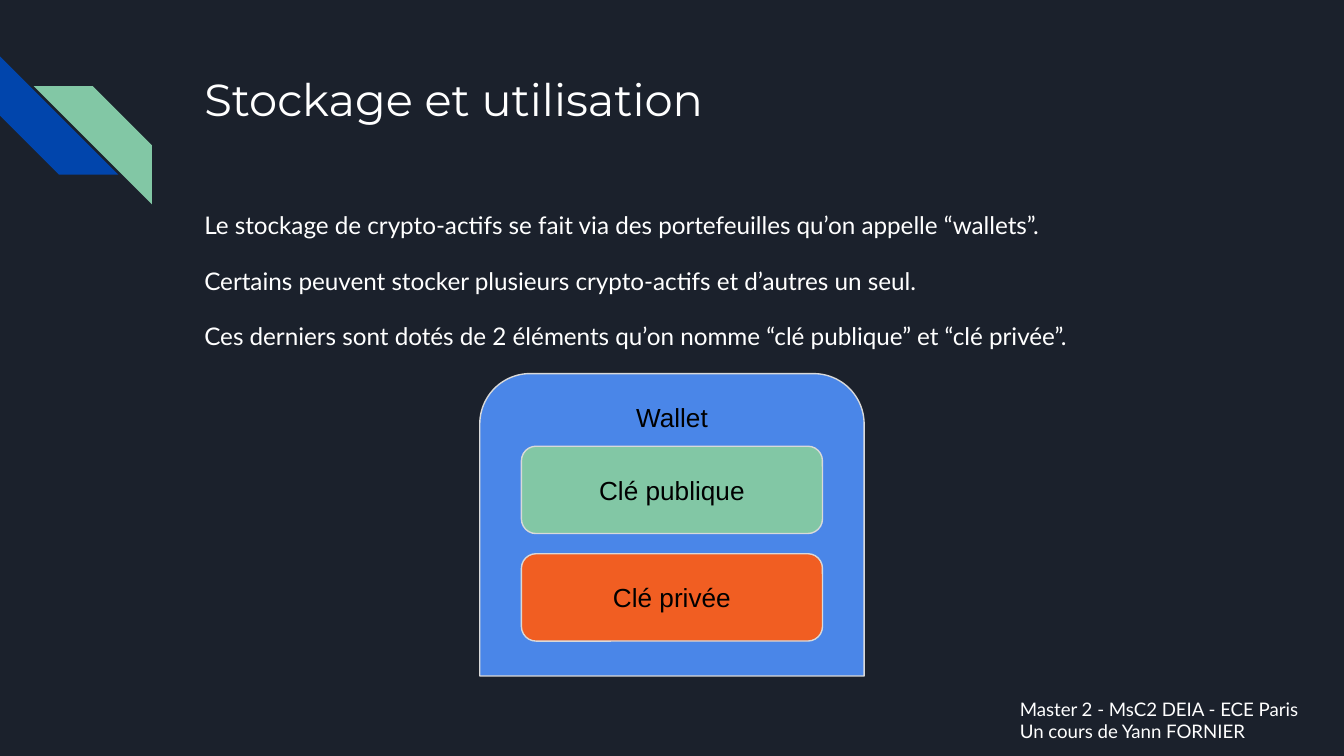
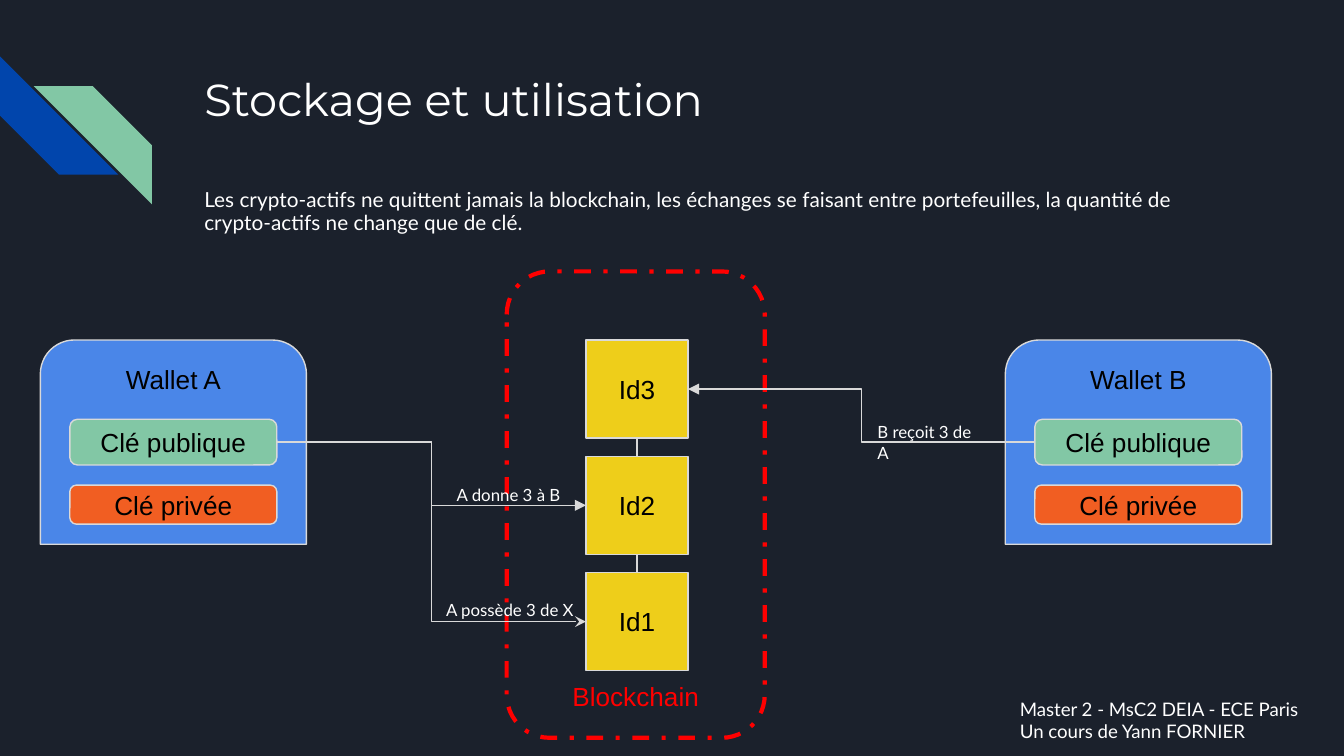
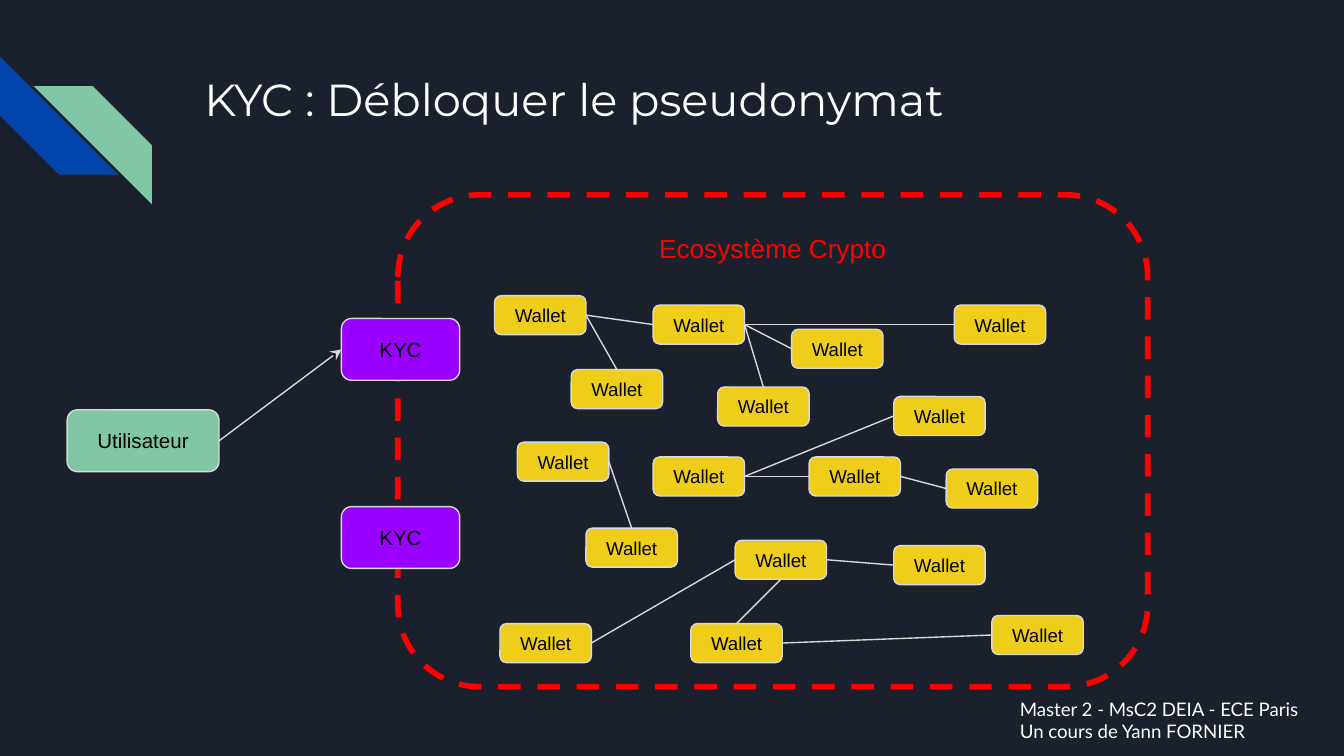
from pptx import Presentation
from pptx import util as u
from pptx.dml.color import RGBColor
from pptx.enum import dml, shapes, text
from pptx.oxml.ns import qn
from lxml import etree

UNIT = u.Inches(0.1)  # one column or row: the slide has 100 columns
NIGHT, WHITE, BLACK, GREY = "1B212C", "FFFFFF", "000000", "D9D9D9"
NAVY, BLUE, GREEN, ORANGE = "0145AC", "4A86E8", "82C7A5", "F15E22"
YELLOW, PURPLE, RED = "EECE1A", "9900FF", "FF0000"
TOP, LEFT, BOTTOM, RIGHT = range(4)
RECT = shapes.MSO_SHAPE.RECTANGLE
ROUND = shapes.MSO_SHAPE.ROUNDED_RECTANGLE
ARCH = shapes.MSO_SHAPE.ROUND_2_SAME_RECTANGLE
STRIPE = shapes.MSO_SHAPE.DIAGONAL_STRIPE
ANCHOR = text.MSO_ANCHOR
ALIGN = text.PP_ALIGN
FOOTER = "Master 2 - MsC2 DEIA - ECE Paris\nUn cours de Yann FORNIER"

WALLET_SPOTS = [
    (36.8, 22), (42.5, 27.5), (48.6, 22.7), (38.5, 32.9), (48.6, 34), (53.4, 28.8),
    (43.6, 39.3), (54.7, 40.2), (60.2, 34), (58.9, 24.5), (66.5, 29.5), (71, 22.7),
    (70.4, 34.9), (66.5, 40.6), (73.8, 45.8), (37.2, 46.4), (51.4, 46.4),
]
WALLET_LINKS = [
    (0, RIGHT, 1, TOP), (0, RIGHT, 2, LEFT), (2, RIGHT, 5, TOP), (2, RIGHT, 11, LEFT),
    (2, RIGHT, 9, LEFT), (10, LEFT, 4, RIGHT), (7, RIGHT, 13, LEFT), (3, RIGHT, 6, TOP),
    (15, RIGHT, 7, LEFT), (16, RIGHT, 14, LEFT), (7, BOTTOM, 16, TOP), (8, RIGHT, 12, LEFT),
    (8, LEFT, 4, RIGHT),
]


def colour(value):
    """Turn a hex string into a colour."""
    return RGBColor.from_string(value)


def grid(*lengths):
    """Turn columns and rows into slide lengths."""
    return [round(length * UNIT) for length in lengths]


def write(box, words, size, font, ink, align=ALIGN.LEFT, anchor=ANCHOR.TOP):
    """Fill a box with formatted text, one paragraph a line."""
    frame = box.text_frame
    frame.text = words
    frame.word_wrap = True
    frame.auto_size = text.MSO_AUTO_SIZE.NONE
    frame.vertical_anchor = anchor
    frame.margin_left = frame.margin_right = frame.margin_top = frame.margin_bottom = UNIT
    for para in frame.paragraphs:
        para.alignment = align
        for span in para.runs:
            span.font.size, span.font.name = u.Pt(size), font
            span.font.color.rgb = colour(ink)


def put_placeholder(holder, place, words, size, font):
    """Move a placeholder and write in it."""
    holder.left, holder.top, holder.width, holder.height = grid(*place)
    write(holder, words, size, font, WHITE)


def add_body(page, place, words, size, spacing, gap=0):
    """Write plain paragraphs, without bullets, in the body placeholder."""
    body = page.placeholders[1]
    put_placeholder(body, place, words, size, "Lato")
    for index, para in enumerate(body.text_frame.paragraphs):
        properties = para._p.get_or_add_pPr()
        properties.set("marL", "0")
        properties.set("indent", "0")
        etree.SubElement(properties, qn("a:buNone"))
        para.line_spacing = spacing
        para.space_before = u.Pt(gap if index else 0)


def add_note(page, place, words, size):
    """Add a white text box."""
    write(page.shapes.add_textbox(*grid(*place)), words, size, "Lato", WHITE)


def add_figure(page, kind, place, fill=None, line=GREY, weight=0.75, dash=None):
    """Add a preset shape; no fill or line colour means none is drawn."""
    figure = page.shapes.add_shape(kind, *grid(*place))
    figure.shadow.inherit = False
    if fill:
        figure.fill.solid()
        figure.fill.fore_color.rgb = colour(fill)
    else:
        figure.fill.background()
    if line:
        figure.line.color.rgb = colour(line)
        figure.line.width = u.Pt(weight)
        figure.line.dash_style = dash
    else:
        figure.line.fill.background()
    return figure


def add_block(page, kind, place, fill, words, size=14, anchor=ANCHOR.MIDDLE):
    """Add a filled shape with a centred label."""
    block = add_figure(page, kind, place, fill)
    write(block, words, size, "Arial", BLACK, ALIGN.CENTER, anchor)
    return block


def add_zone(page, place, words, weight, dash, anchor):
    """Add a dashed red frame with its name."""
    zone = add_figure(page, ROUND, place, line=RED, weight=weight, dash=dash)
    write(zone, words, 14, "Arial", RED, ALIGN.CENTER, anchor)


def add_wallet(page, place, name, inset, public, private):
    """Add a wallet with its two keys, each a row offset and a height; return the public key."""
    left, top, width, _ = place
    add_block(page, ARCH, place, BLUE, name, anchor=ANCHOR.TOP)
    keys = [
        add_block(page, ROUND, (left + inset, top + offset, width - 2 * inset, height), fill, label)
        for (offset, height), fill, label in
        [(public, GREEN, "Clé publique"), (private, ORANGE, "Clé privée")]
    ]
    return keys[0]


def link(page, start, start_side, end, end_side, head=None, kind=shapes.MSO_CONNECTOR.STRAIGHT):
    """Join two shapes, with an arrowhead at the end if one is named."""
    wire = page.shapes.add_connector(kind, 0, 0, 0, 0)
    wire.begin_connect(start, start_side)
    wire.end_connect(end, end_side)
    wire.line.color.rgb = colour(GREY)
    wire.line.width = u.Pt(0.75)
    if head:
        etree.SubElement(wire.line._get_or_add_ln(), qn("a:tailEnd"), type=head)
    etree.SubElement(wire.element.spPr, qn("a:effectLst"))


def add_page(deck, layout, title):
    """Add a slide with its title and footer."""
    page = deck.slides.add_slide(deck.slide_layouts[layout])
    put_placeholder(page.shapes.title, (14.2, 4.3, 77, 10), title, 24, "Montserrat")
    add_note(page, (74.9, 50.9, 25.1, 5.4), FOOTER, 10)
    return page


def dress_master(deck, page):
    """Give the master its background and move the two stripes onto it."""
    master = deck.slide_master
    master.background.fill.solid()
    master.background.fill.fore_color.rgb = colour(NIGHT)
    lower = add_figure(page, STRIPE, (0, 4.2, 8.8, 8.8), NAVY, None)
    lower.rotation = 270
    upper = add_figure(page, STRIPE, (2.5, 6.4, 8.8, 8.8), GREEN, None)
    upper.element.spPr.find(qn("a:xfrm")).set("flipH", "1")
    for stripe in (lower, upper):
        master.shapes.element.append(stripe.element)


def fill_storage(page):
    """Show what a wallet holds."""
    add_body(page, (14.2, 14.3, 77, 31.8),
             "Le stockage de crypto-actifs se fait via des portefeuilles qu’on appelle “wallets”.\n"
             "Certains peuvent stocker plusieurs crypto-actifs et d’autres un seul.\n"
             "Ces derniers sont dotés de 2 éléments qu’on nomme “clé publique” et “clé privée”.",
             13, 1.15, 12)
    add_wallet(page, (35.7, 27.8, 28.6, 22.5), "Wallet", 3.1, (5.4, 6.5), (13.4, 6.5))


def fill_exchange(page):
    """Show an exchange between two wallets through the blockchain."""
    add_body(page, (14.2, 13, 77, 7.3),
             "Les crypto-actifs ne quittent jamais la blockchain, les échanges se faisant entre "
             "portefeuilles, la quantité de crypto-actifs ne change que de clé.", 11.1, 0.95)
    key_a, key_b = [
        add_wallet(page, (left, 25.3, 19.8, 15.2), name, 2.2, (5.9, 3.4), (10.8, 2.9))
        for left, name in [(3, "Wallet A"), (74.8, "Wallet B")]
    ]
    add_zone(page, (37.7, 20.2, 19.2, 34.7), "Blockchain", 2.25,
             dml.MSO_LINE.DASH_DOT, ANCHOR.BOTTOM)
    first, second, third = [
        add_block(page, RECT, (43.6, 42.6 - 8.65 * step, 7.6, 7.3), YELLOW, f"Id{step + 1}")
        for step in range(3)
    ]
    link(page, first, TOP, second, BOTTOM)
    link(page, second, TOP, third, BOTTOM)
    for key, key_side, block, side, head in [
        (key_a, RIGHT, first, LEFT, "stealth"),
        (key_a, RIGHT, second, LEFT, "triangle"),
        (key_b, LEFT, third, RIGHT, "triangle"),
    ]:
        link(page, key, key_side, block, side, head, shapes.MSO_CONNECTOR.ELBOW)
    for left, top, width, words in [
        (32.2, 43.6, 11.5, "A possède 3 de X"),
        (33, 35.1, 10, "A donne 3 à B"),
        (64.3, 30.4, 10, "B reçoit 3 de A"),
    ]:
        add_note(page, (left, top, width, 3.5), words, 9)


def fill_kyc(page):
    """Show the user entering the wallet network through a KYC gate."""
    add_zone(page, (29.6, 14.5, 55.8, 36.6), "Ecosystème Crypto", 3,
             dml.MSO_LINE.DASH, ANCHOR.TOP)
    user = add_block(page, ROUND, (5, 30.5, 11.3, 4.6), GREEN, "Utilisateur", 11)
    wallets = [add_block(page, ROUND, (left, top, 6.8, 2.9), YELLOW, "Wallet", 10)
               for left, top in WALLET_SPOTS]
    gates = [add_block(page, ROUND, (25.4, top, 8.8, 4.6), PURPLE, "KYC", 11)
             for top in (23.7, 37.7)]
    for start, start_side, end, end_side in WALLET_LINKS:
        link(page, wallets[start], start_side, wallets[end], end_side)
    link(page, user, RIGHT, gates[0], LEFT, "stealth")


def main():
    """Build and save the deck."""
    deck = Presentation()
    deck.slide_width, deck.slide_height = grid(100, 56.25)
    storage = add_page(deck, 1, "Stockage et utilisation")
    dress_master(deck, storage)
    fill_storage(storage)
    fill_exchange(add_page(deck, 1, "Stockage et utilisation"))
    fill_kyc(add_page(deck, 5, "KYC : Débloquer le pseudonymat"))
    deck.save("out.pptx")


if __name__ == "__main__":
    main()
